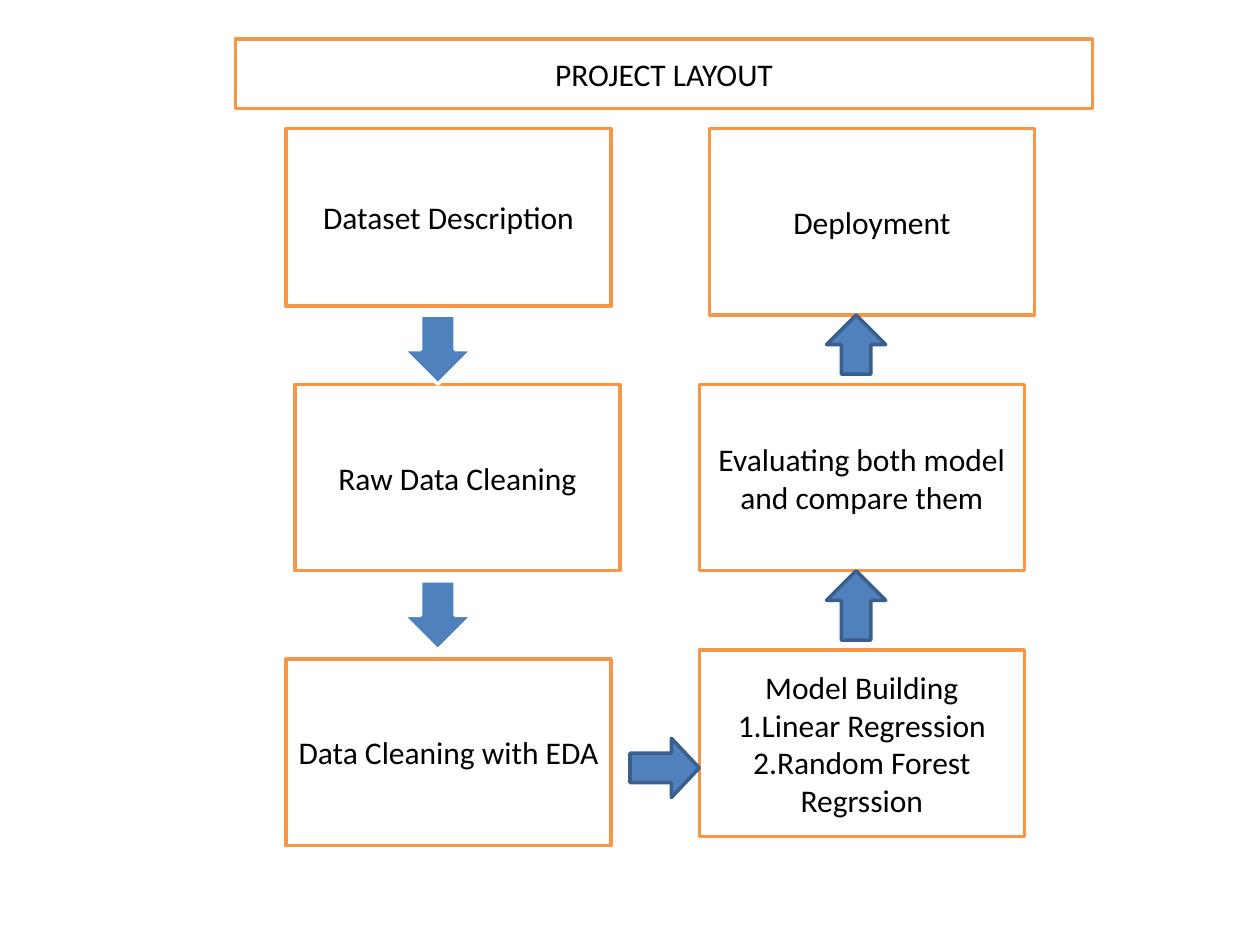
from pptx import Presentation
from pptx.dml.color import RGBColor
from pptx.enum.shapes import MSO_SHAPE
from pptx.enum.text import MSO_ANCHOR, PP_ALIGN
from pptx.util import Inches, Pt

BOX_WIDTH, BOX_HEIGHT = 2.58, 1.48
ARROW_LONG, ARROW_SHORT = 0.55, 0.47

STAGES = [
    (2.27, 1.02, 1.41, ["Dataset Description"]),
    (2.34, 3.05, BOX_HEIGHT, ["Raw Data Cleaning"]),
    (2.27, 5.23, BOX_HEIGHT, ["Data Cleaning with EDA"]),
    (5.55, 5.16, BOX_HEIGHT,
     ["Model Building", "1.Linear Regression", "2.Random Forest Regrssion"]),
    (5.55, 3.05, BOX_HEIGHT, ["Evaluating both model and compare them"]),
    (5.63, 1.02, BOX_HEIGHT, ["Deployment"]),
]


def color(hex_code):
    return RGBColor.from_string(hex_code)


class FlowSlide:
    accent, paper, ink = "F79646", "FFFFFF", "000000"
    arrow_fill, arrow_edge = "4F81BD", "3A5F8C"
    font_format = {"name": "Calibri", "size": Pt(18)}
    frame_format = {"word_wrap": True, "vertical_anchor": MSO_ANCHOR.MIDDLE}

    def __init__(self, deck):
        self.slide = deck.slides.add_slide(deck.slide_layouts[6])

    def outlined(self, preset, bounds, fill, edge):
        """Add a preset shape with a solid fill and a 2 pt outline."""
        shape = self.slide.shapes.add_shape(preset, *map(Inches, bounds))
        shape.shadow.inherit = False
        shape.fill.solid()
        shape.fill.fore_color.rgb = color(fill)
        shape.line.color.rgb = color(edge)
        shape.line.width = Pt(2)
        return shape

    def box(self, bounds, lines):
        frame = self.outlined(MSO_SHAPE.RECTANGLE, bounds,
                              self.paper, self.accent).text_frame
        for name, value in self.frame_format.items():
            setattr(frame, name, value)
        frame.text = "\n".join(lines)
        for paragraph in frame.paragraphs:
            paragraph.alignment = PP_ALIGN.CENTER
            font = paragraph.runs[0].font
            for name, value in self.font_format.items():
                setattr(font, name, value)
            font.color.rgb = color(self.ink)

    def arrow(self, preset, bounds, edge=arrow_edge):
        return self.outlined(preset, bounds, self.arrow_fill, edge)


def main():
    deck = Presentation()
    deck.slide_width, deck.slide_height = Inches(10), Inches(7.5)
    flow = FlowSlide(deck)

    for left, top, height, lines in STAGES:
        flow.box((left, top, BOX_WIDTH, height), lines)
    flow.box((1.87, 0.31, 6.8, 0.55), ["PROJECT LAYOUT"])

    for top in (2.5, 4.61):
        flow.arrow(MSO_SHAPE.DOWN_ARROW,
                   (3.2, top, ARROW_LONG, ARROW_LONG), flow.paper)
    to_model = flow.arrow(MSO_SHAPE.RIGHT_ARROW,
                          (5, 5.86, ARROW_LONG, ARROW_SHORT))
    to_model.adjustments[1] = 0.47
    for top, height in ((4.53, ARROW_LONG), (2.5, ARROW_SHORT)):
        flow.arrow(MSO_SHAPE.UP_ARROW, (6.56, top, ARROW_SHORT, height))

    deck.save("out.pptx")


if __name__ == "__main__":
    main()
